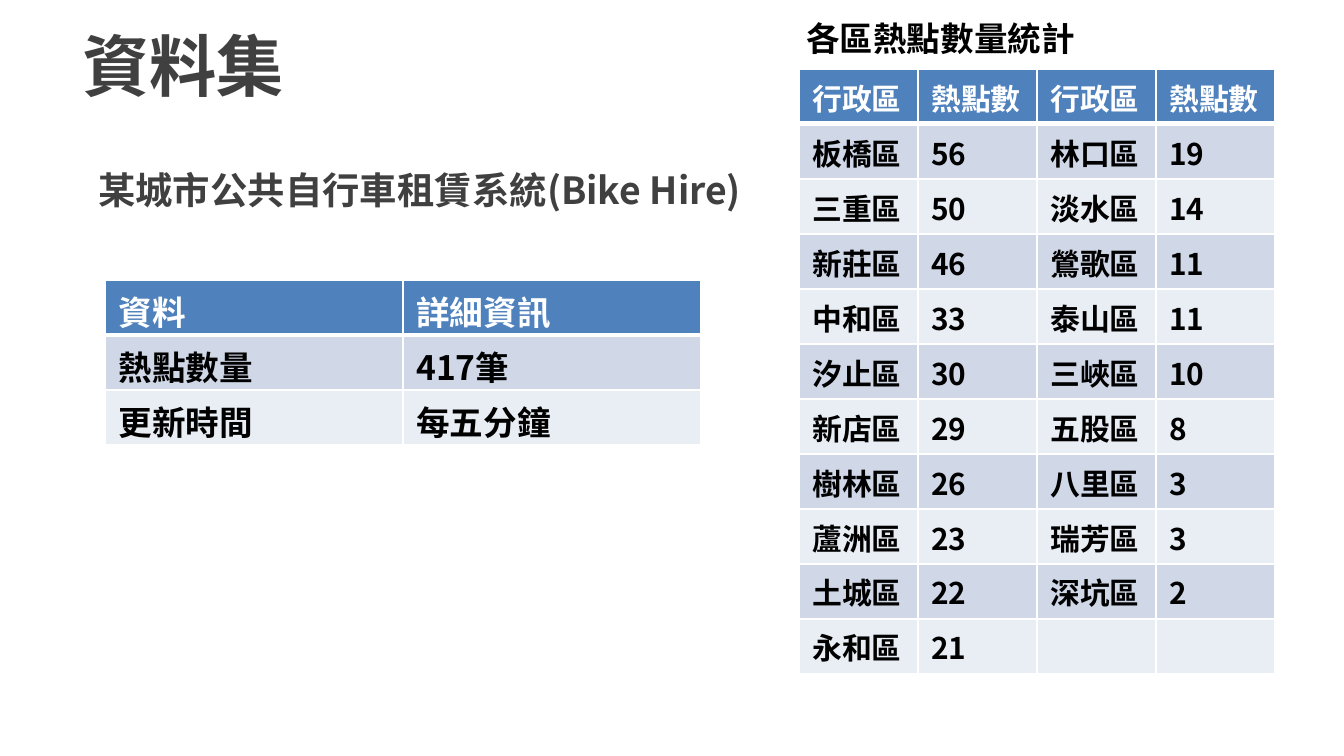
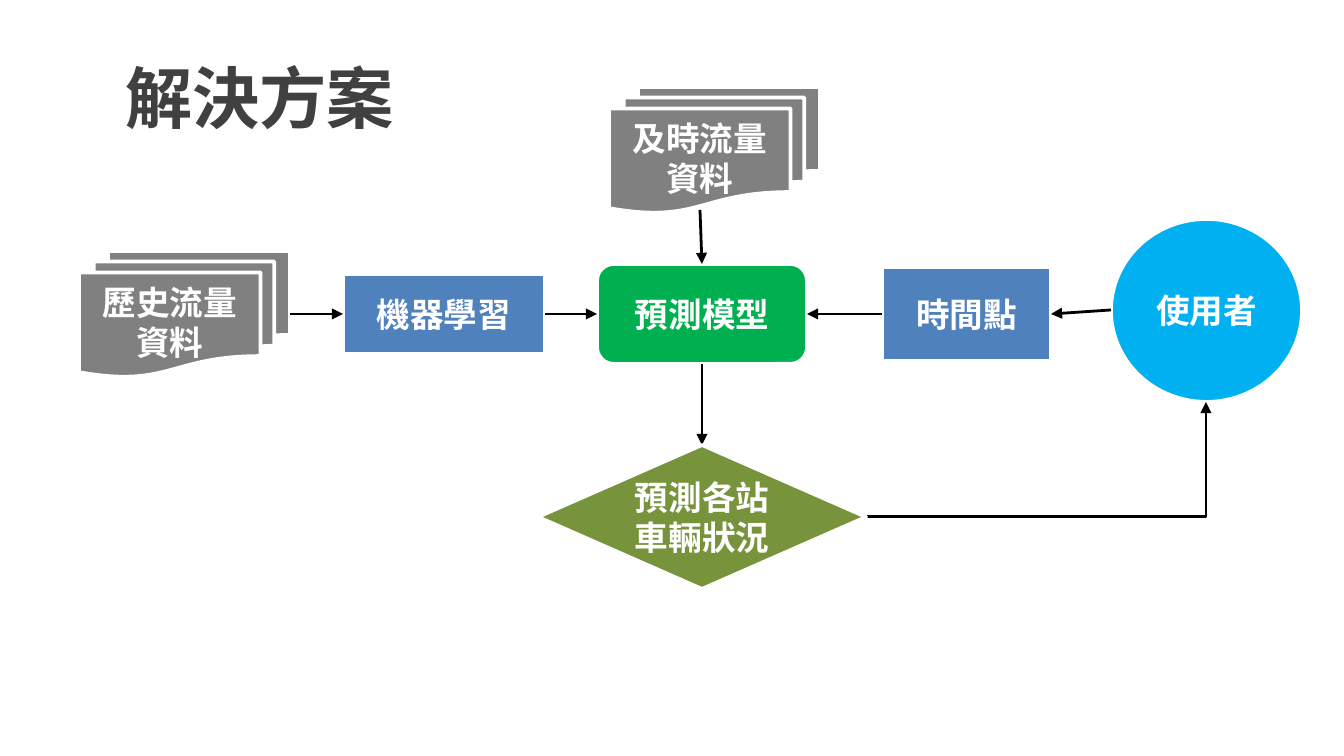
from lxml import etree
from pptx import Presentation
from pptx import util as u
from pptx.dml.color import RGBColor
from pptx.enum import shapes, text
from pptx.oxml.ns import qn

FONT = "Noto Sans CJK SC"
WHITE, BLACK, DARK, BLUE, GREY = "FFFFFF", "000000", "404040", "4F81BD", "808080"
BANDS = ["D0D8E8", "E9EDF4"]
KIND = shapes.MSO_SHAPE
TOP, LEFT, BOTTOM, RIGHT = range(4)

FACTS = [
    ("資料", "詳細資訊"),
    ("熱點數量", "417筆"),
    ("更新時間", "每五分鐘"),
]
AREAS = [
    ("行政區", "熱點數", "行政區", "熱點數"),
    ("板橋區", "56", "林口區", "19"),
    ("三重區", "50", "淡水區", "14"),
    ("新莊區", "46", "鶯歌區", "11"),
    ("中和區", "33", "泰山區", "11"),
    ("汐止區", "30", "三峽區", "10"),
    ("新店區", "29", "五股區", "8"),
    ("樹林區", "26", "八里區", "3"),
    ("蘆洲區", "23", "瑞芳區", "3"),
    ("土城區", "22", "深坑區", "2"),
    ("永和區", "21", "", ""),
]
NODES = {
    "past": ("歷史流量資料", KIND.FLOWCHART_MULTIDOCUMENT, (79, 251, 211, 126), GREY),
    "learn": ("機器學習", KIND.RECTANGLE, (343, 274, 202, 80), BLUE),
    "model": ("預測模型", KIND.ROUNDED_RECTANGLE, (597, 264, 210, 100), "00B050"),
    "live": ("及時流量資料", KIND.FLOWCHART_MULTIDOCUMENT, (609, 87, 211, 126), GREY),
    "user": ("使用者", KIND.FLOWCHART_CONNECTOR, (1111, 219, 191, 183), "00B0F0"),
    "time": ("時間點", KIND.RECTANGLE, (882, 267, 169, 94), BLUE),
    "result": ("預測各站車輛狀況", KIND.FLOWCHART_DECISION, (538, 445, 328, 144), "77933C"),
}
LINKS = [
    (("past", RIGHT), ("learn", LEFT)),
    (("learn", RIGHT), ("model", LEFT)),
    ((700, 210), ("model", TOP)),
    (("time", LEFT), ("model", RIGHT)),
    ((1111, 310), ("time", RIGHT)),
    (("model", BOTTOM), ("result", TOP)),
    (("result", RIGHT), (1206, 402)),
]


def px(n):
    return round(n * 914400 / 134.4)


def rgb(code):
    return RGBColor.from_string(code)


def write(para, words, size, color):
    run = para.add_run()
    run.text = words
    font = run.font
    font.size, font.bold, font.name = u.Pt(size), True, FONT
    font.color.rgb = rgb(color)
    etree.SubElement(run._r.get_or_add_rPr(), qn("a:ea"), typeface=FONT)


def label(page, words, box, size, color, wrap=True):
    frame = page.shapes.add_textbox(*map(px, box)).text_frame
    frame.word_wrap = wrap
    frame.vertical_anchor = text.MSO_ANCHOR.MIDDLE
    write(frame.paragraphs[0], words, size, color)


def title(page, words, left, top):
    label(page, words, (left, top, 1344 - left, 130), 36, DARK)


def edge(cell, tag, spot, width):
    line = etree.Element(qn("a:" + tag), w=str(u.Pt(width)))
    fill = etree.SubElement(line, qn("a:solidFill"))
    etree.SubElement(fill, qn("a:srgbClr"), val=WHITE)
    cell._tc.get_or_add_tcPr().insert(spot, line)


def grid(page, rows, left, top, wide, size):
    high, cols = 55, len(rows[0])
    box = (left, top, wide * cols, high * len(rows))
    table = page.shapes.add_table(len(rows), cols, *map(px, box)).table
    for col in table.columns:
        col.width = px(wide)
    for r, row in enumerate(rows):
        table.rows[r].height = px(high)
        for c, words in enumerate(row):
            cell = table.cell(r, c)
            cell.fill.solid()
            cell.fill.fore_color.rgb = rgb(BANDS[(r - 1) % 2] if r else BLUE)
            widths = (1, 1, 3 if r == 1 else 1, 1 if r else 3)
            for i, tag in enumerate(("lnL", "lnR", "lnT", "lnB")):
                edge(cell, tag, i, widths[i])
            para = cell.text_frame.paragraphs[0]
            if words:
                write(para, words, size, BLACK if r else WHITE)
            else:
                etree.SubElement(para._p, qn("a:endParaRPr"), sz=str(size * 100))


def node(page, words, kind, box, color):
    shape = page.shapes.add_shape(kind, *map(px, box))
    shape.shadow.inherit = False
    shape.fill.solid()
    shape.fill.fore_color.rgb = rgb(color)
    shape.line.color.rgb = rgb(WHITE)
    shape.line.width = u.Pt(2)
    frame = shape.text_frame
    frame.word_wrap = True
    frame.vertical_anchor = text.MSO_ANCHOR.MIDDLE
    frame.paragraphs[0].alignment = text.PP_ALIGN.CENTER
    write(frame.paragraphs[0], words, 18, WHITE)
    return shape


def spot(end):
    if end[0] not in NODES:
        return end
    x, y, w, h = NODES[end[0]][2]
    mids = [(x + w / 2, y), (x, y + h / 2), (x + w / 2, y + h), (x + w, y + h / 2)]
    return mids[end[1]]


def link(page, made, start, stop):
    bent = start[0] == "result"
    kind = shapes.MSO_CONNECTOR.ELBOW if bent else shapes.MSO_CONNECTOR.STRAIGHT
    line = page.shapes.add_connector(kind, *map(px, spot(start) + spot(stop)))
    line.line.color.rgb = rgb(BLACK)
    line.line.width = u.Pt(1.5)
    if start[0] in made:
        line.begin_connect(made[start[0]], start[1])
    if stop[0] in made:
        line.end_connect(made[stop[0]], stop[1])
    props = line.element.spPr
    if bent:
        props.find(qn("a:prstGeom")).set("prst", "bentConnector2")
    etree.SubElement(props.find(qn("a:ln")), qn("a:tailEnd"), type="triangle")
    etree.SubElement(props, qn("a:effectLst"))


def data(page):
    label(page, "某城市公共自行車租賃系統(Bike Hire)", (85, 156, 710, 67), 20, DARK)
    title(page, "資料集", 69, 0)
    grid(page, FACTS, 105, 280, 298, 18)
    grid(page, AREAS, 799, 69, 119, 16)
    label(page, "各區熱點數量統計", (793, 11, 298, 54), 18, BLACK, False)


def flow(page):
    title(page, "解決方案", 112, 32)
    made = {name: node(page, *item) for name, item in NODES.items()}
    for start, stop in LINKS:
        link(page, made, start, stop)
    page.shapes.element.append(made["result"].element)


def main():
    deck = Presentation()
    deck.slide_width, deck.slide_height = px(1344), px(756)
    for draw in (data, flow):
        draw(deck.slides.add_slide(deck.slide_layouts[6]))
    deck.save("out.pptx")


if __name__ == "__main__":
    main()
